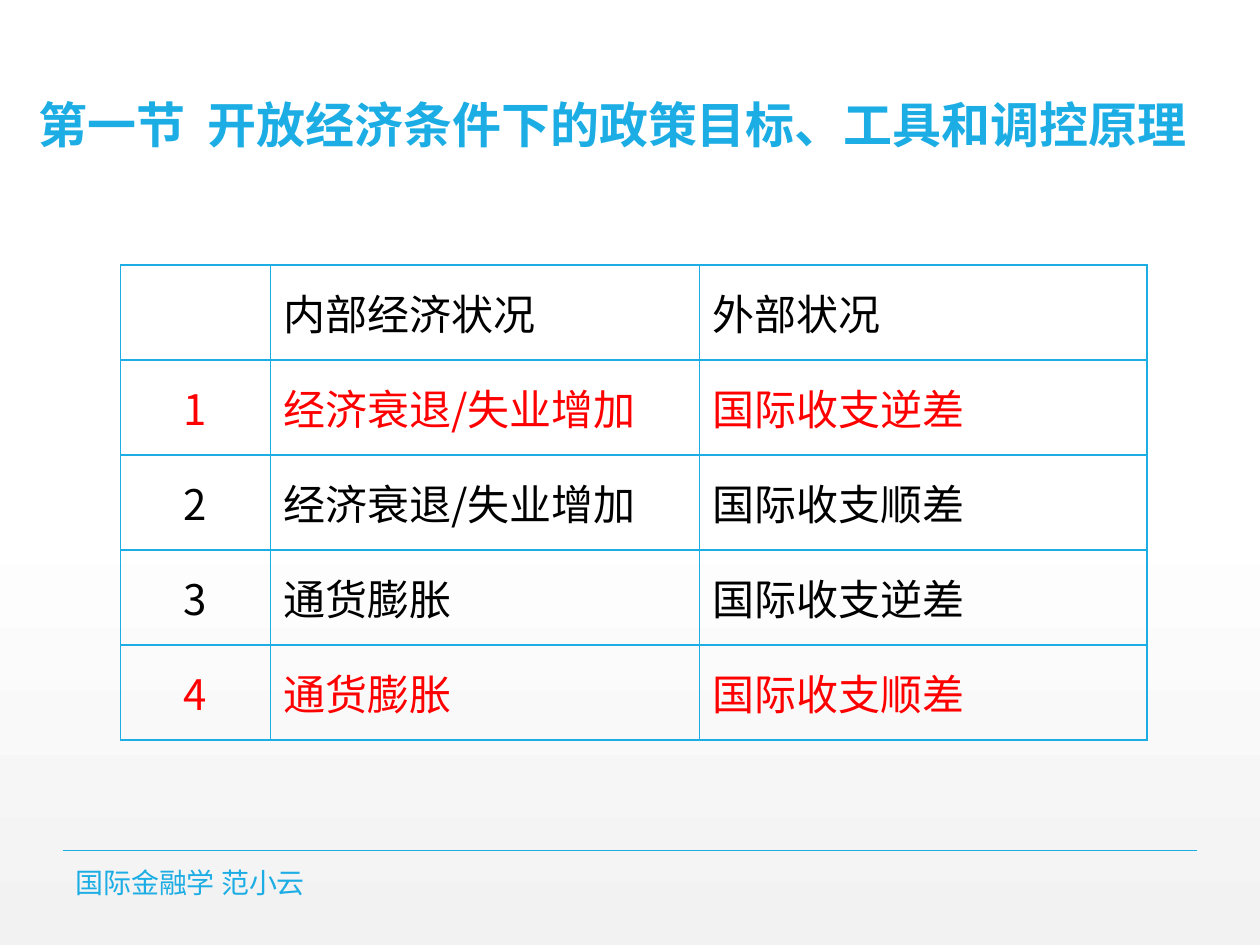
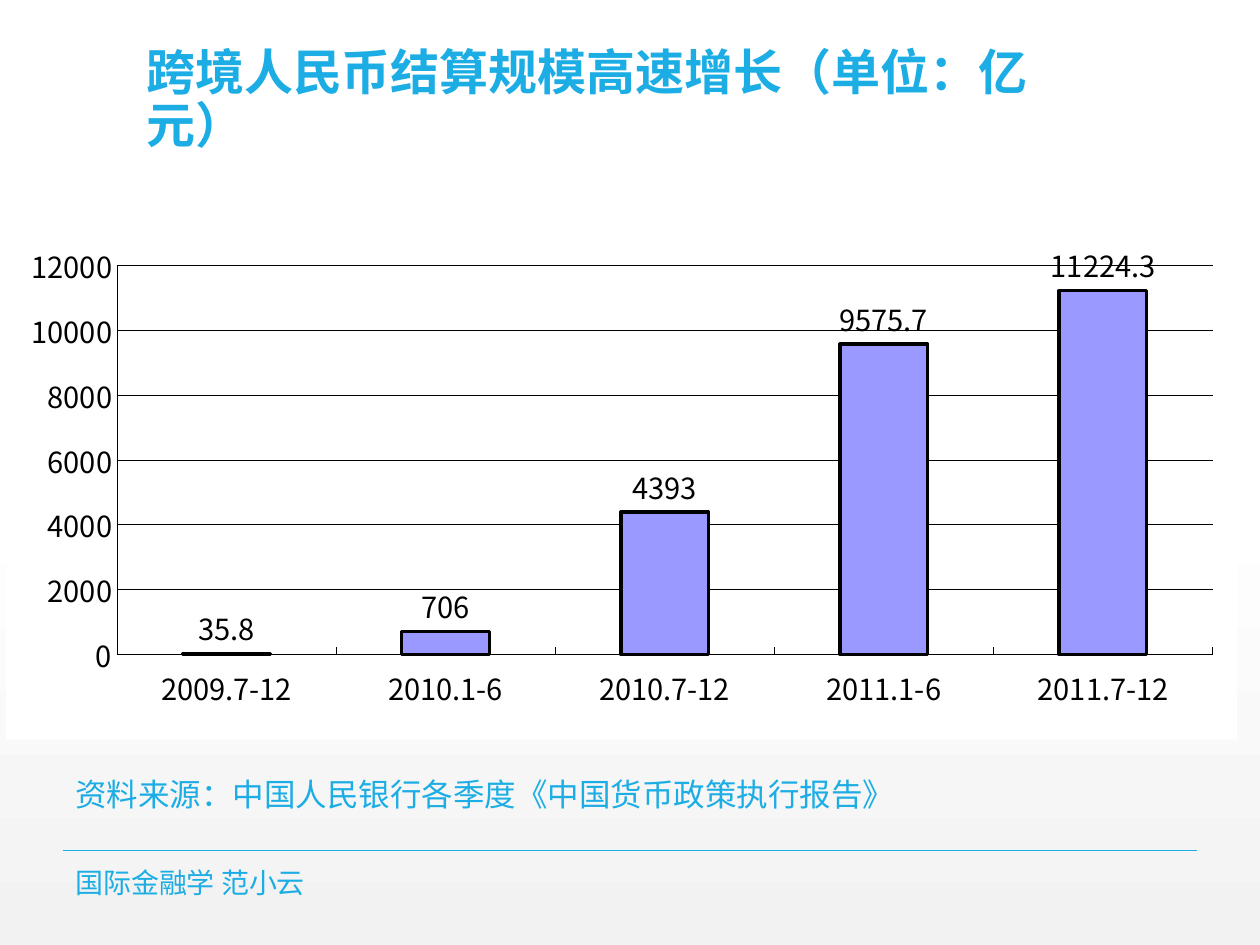
import collections
import dataclasses

import lxml.etree
import pptx
import pptx.chart.data
import pptx.dml.color
import pptx.enum.chart
import pptx.enum.shapes
import pptx.enum.text
import pptx.oxml
import pptx.oxml.ns
import pptx.util

Pt = pptx.util.Pt
RGB = pptx.dml.color.RGBColor.from_string
ANCHOR = pptx.enum.text.MSO_ANCHOR
CHART = pptx.enum.chart
Box = collections.namedtuple("Box", "left top width height")


@dataclasses.dataclass(frozen=True)
class Theme:
    accent: str = "1CADE4"
    ink: str = "000000"
    alert: str = "FF0000"
    paper: str = "FFFFFF"
    shade: str = "F2F2F2"
    bar: str = "9999FF"
    body_font: str = "Noto Sans CJK SC"
    title_font: str = "Arial"
    title_size: float = 28
    table_size: float = 24
    source_size: float = 18
    chart_size: float = 16.6
    footer_size: float = 16


THEME = Theme()
PAGE = Box(0, 0, 720, 540)
FOOTER = "国际金融学 范小云"
CONDITIONS = [
    ("", "内部经济状况", "外部状况"),
    ("1", "经济衰退/失业增加", "国际收支逆差"),
    ("2", "经济衰退/失业增加", "国际收支顺差"),
    ("3", "通货膨胀", "国际收支逆差"),
    ("4", "通货膨胀", "国际收支顺差"),
]
ALERT_ROWS = {1, 4}
SETTLEMENT = {
    "2009.7-12": 35.8,
    "2010.1-6": 706,
    "2010.7-12": 4393,
    "2011.1-6": 9575.7,
    "2011.7-12": 11224.3,
}


def apply(target, values):
    for name, value in values.items():
        setattr(target, name, value)


def lengths(box):
    return [Pt(value) for value in box]


def style_font(font, size, colour, name=THEME.body_font, bold=False):
    apply(font, {"size": Pt(size), "name": name, "bold": bold})
    font.color.rgb = RGB(colour)


def style_line(line, colour, width):
    line.color.rgb = RGB(colour)
    line.width = Pt(width)


def add_text(page, box, text, size, anchor=ANCHOR.MIDDLE, spacing=1.0, **style):
    frame = page.shapes.add_textbox(*lengths(box)).text_frame
    apply(frame, {"word_wrap": True, "vertical_anchor": anchor})
    para = frame.paragraphs[0]
    para.line_spacing = spacing
    span = para.add_run()
    span.text = text
    style_font(span.font, size, THEME.accent, **style)
    # East Asian glyphs always use the body font
    east_asian = lxml.etree.SubElement(span.font._element, pptx.oxml.ns.qn("a:ea"))
    east_asian.set("typeface", THEME.body_font)


def add_title(page, box, text):
    add_text(page, box, text, THEME.title_size, ANCHOR.BOTTOM, 0.9,
             name=THEME.title_font, bold=True)


def add_footer(page, box):
    # Rule along the top edge, course name below it
    rule = page.shapes.add_connector(
        pptx.enum.shapes.MSO_CONNECTOR.STRAIGHT,
        *lengths((box.left, box.top, box.left + box.width, box.top)))
    style_line(rule.line, THEME.accent, 1)
    lxml.etree.SubElement(rule._element.spPr, pptx.oxml.ns.qn("a:effectLst"))
    add_text(page, Box(box.left, box.top + 9, 362, 18), FOOTER, THEME.footer_size)


def add_page(deck):
    page = deck.slides.add_slide(deck.slide_layouts[6])
    fill = page.background.fill
    fill.gradient()
    fill.gradient_angle = 270
    stops = [(0.53, THEME.paper), (1, THEME.shade)]
    for stop, (position, colour) in zip(fill.gradient_stops, stops):
        stop.position = position
        stop.color.rgb = RGB(colour)
    add_footer(page, Box(36, 486, PAGE.width - 72, 36))
    return page


def add_cell_borders(cell):
    properties = cell._tc.get_or_add_tcPr()
    for index, side in enumerate(("lnL", "lnR", "lnT", "lnB")):
        border = pptx.oxml.parse_xml(
            f'<a:{side} {pptx.oxml.ns.nsdecls("a")} w="{Pt(1)}"><a:solidFill>'
            f'<a:srgbClr val="{THEME.accent}"/></a:solidFill></a:{side}>')
        properties.insert(index, border)


def add_condition_table(page, box):
    table = page.shapes.add_table(
        len(CONDITIONS), len(CONDITIONS[0]), *lengths(box)).table
    apply(table, {"first_row": False, "horz_banding": False})
    for column, share in zip(table.columns, (0.146, 0.418, 0.436)):
        column.width = Pt(round(box.width * share, 2))
    for row_index, texts in enumerate(CONDITIONS):
        table.rows[row_index].height = Pt(box.height / len(CONDITIONS))
        colour = THEME.alert if row_index in ALERT_ROWS else THEME.ink
        for column_index, text in enumerate(texts):
            cell = table.cell(row_index, column_index)
            cell.fill.background()
            add_cell_borders(cell)
            cell.vertical_anchor = ANCHOR.MIDDLE
            cell.text = text
            para = cell.text_frame.paragraphs[0]
            style_font(para.font, THEME.table_size, colour)
            for span in para.runs:
                style_font(span.font, THEME.table_size, colour)
            if column_index == 0:
                para.alignment = pptx.enum.text.PP_ALIGN.CENTER


def set_chart_frame(chart, plot_box):
    """Paint the chart area and fix the inner plot box, in shares of the chart."""
    space = chart._chartSpace
    names = pptx.oxml.ns.nsdecls("c", "a")
    space.chart.addnext(pptx.oxml.parse_xml(
        f'<c:spPr {names}><a:solidFill><a:srgbClr val="{THEME.paper}"/>'
        '</a:solidFill><a:ln><a:noFill/></a:ln></c:spPr>'))
    plot_area = space.chart.plotArea
    for layout in plot_area.findall(pptx.oxml.ns.qn("c:layout")):
        plot_area.remove(layout)
    modes = "".join(f'<c:{axis}Mode val="edge"/>' for axis in "xy")
    places = "".join(f'<c:{key} val="{share}"/>'
                     for key, share in zip("xywh", plot_box))
    plot_area.insert(0, pptx.oxml.parse_xml(
        f'<c:layout {names}><c:manualLayout><c:layoutTarget val="inner"/>'
        f'{modes}{places}</c:manualLayout></c:layout>'))


def add_settlement_chart(page, box):
    data = pptx.chart.data.CategoryChartData()
    data.categories = list(SETTLEMENT)
    data.add_series("Series 1", list(SETTLEMENT.values()))
    chart = page.shapes.add_chart(
        CHART.XL_CHART_TYPE.COLUMN_CLUSTERED, *lengths(box), data).chart
    apply(chart, {"has_legend": False, "has_title": False})
    style_font(chart.font, THEME.chart_size, THEME.ink)
    set_chart_frame(chart, (0.09, 0.05, 0.89, 0.78))

    # Axes and gridlines
    for axis in (chart.category_axis, chart.value_axis):
        axis.major_tick_mark = CHART.XL_TICK_MARK.INSIDE
        style_font(axis.tick_labels.font, THEME.chart_size, THEME.ink)
        style_line(axis.format.line, THEME.ink, 0.47)
    chart.category_axis.tick_label_position = CHART.XL_TICK_LABEL_POSITION.LOW
    apply(chart.value_axis, {"minimum_scale": 0, "maximum_scale": 12000,
                             "major_unit": 2000, "has_major_gridlines": True})
    style_line(chart.value_axis.major_gridlines.format.line, THEME.ink, 0.47)

    # Columns and their values
    plot = chart.plots[0]
    apply(plot, {"gap_width": 150, "vary_by_categories": False,
                 "has_data_labels": True})
    apply(plot.data_labels, {"show_value": True,
                             "position": CHART.XL_LABEL_POSITION.OUTSIDE_END})
    style_font(plot.data_labels.font, THEME.chart_size, THEME.ink)
    series = plot.series[0]
    series.format.fill.solid()
    series.format.fill.fore_color.rgb = RGB(THEME.bar)
    style_line(series.format.line, THEME.ink, 1.89)


def build_condition_page(deck, box):
    page = add_page(deck)
    add_title(page, Box(box.left + 15, box.top + 1.5, box.width - 15, 90),
              "第一节  开放经济条件下的政策目标、工具和调控原理")
    add_condition_table(page, Box(box.left + 69, box.top + 151.5, 586.5, 271.5))


def build_settlement_page(deck, box):
    page = add_page(deck)
    add_title(page, Box(box.left + 76.5, box.top + 1.5, box.width - 153, 90),
              "跨境人民币结算规模高速增长（单位：亿元）")
    add_settlement_chart(page, Box(box.left + 3.5, box.top + 137.5, 703.5, 285))
    add_text(page, Box(box.left + 36, box.top + 441.5, 537, 26.5),
             "资料来源：中国人民银行各季度《中国货币政策执行报告》",
             THEME.source_size, ANCHOR.TOP, 0.9)


def main():
    deck = pptx.Presentation()
    apply(deck, {"slide_width": Pt(PAGE.width), "slide_height": Pt(PAGE.height)})
    build_condition_page(deck, PAGE)
    build_settlement_page(deck, PAGE)
    deck.save("out.pptx")


if __name__ == "__main__":
    main()
